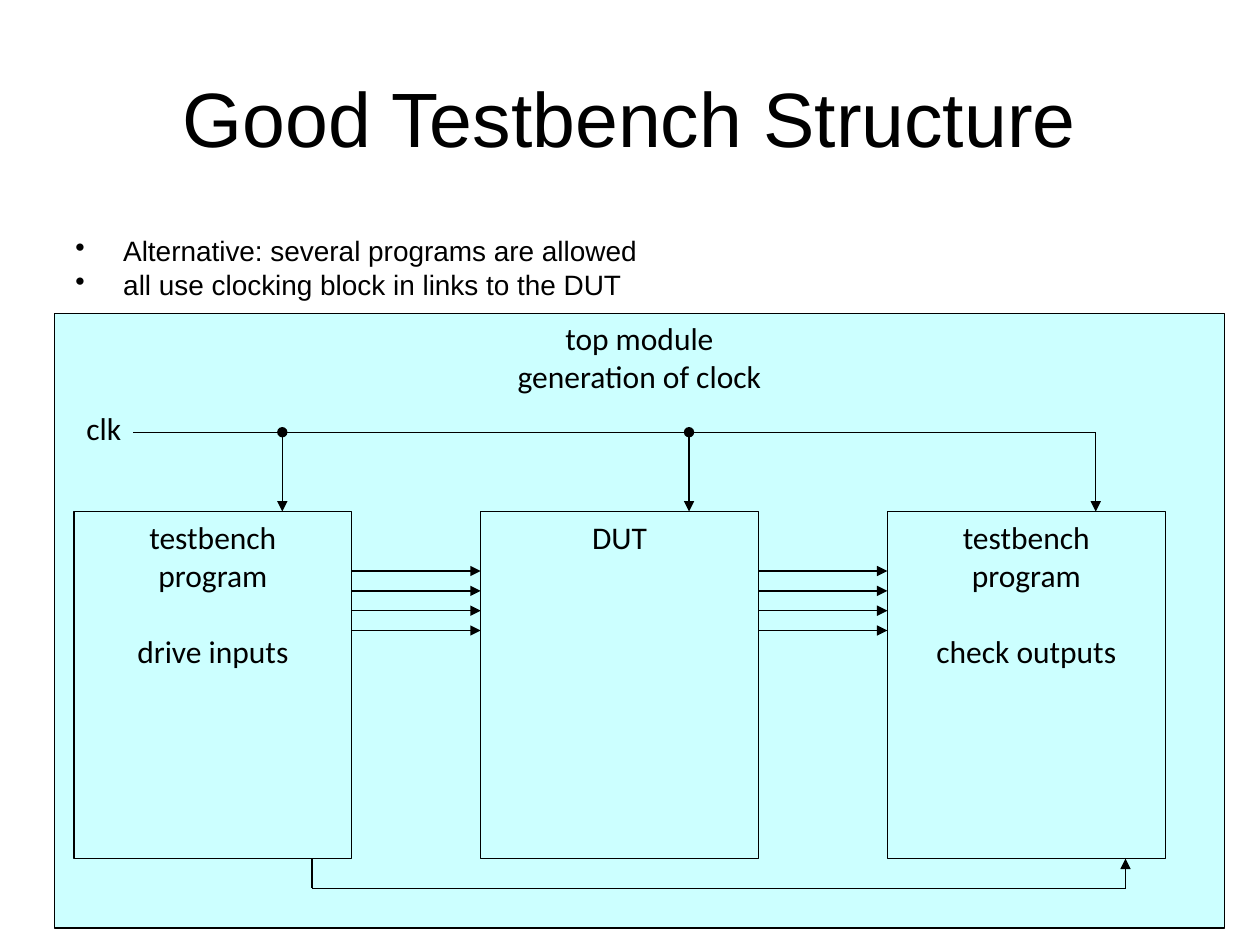
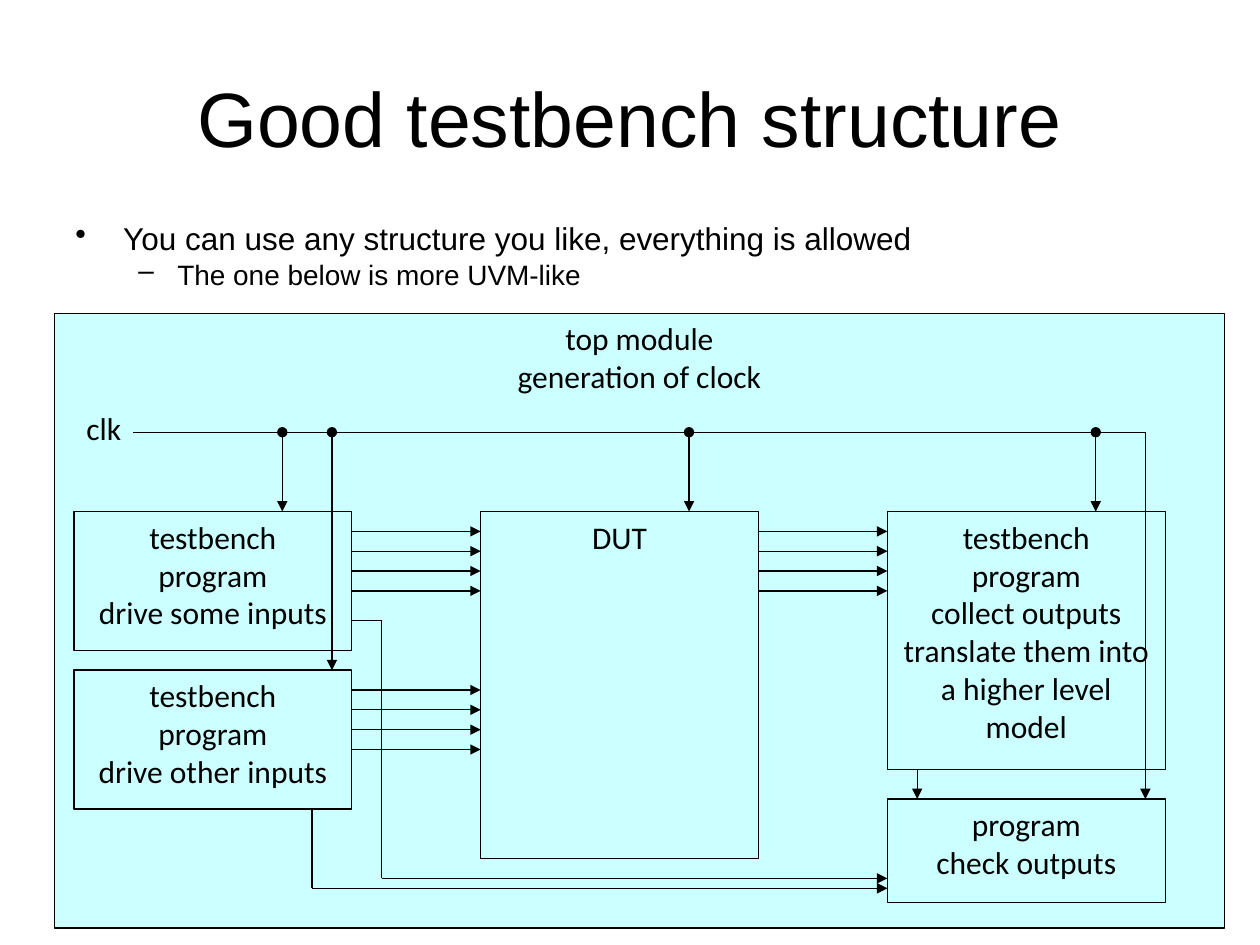
import dataclasses
import itertools

import lxml.etree
import pptx
import pptx.dml.color
import pptx.enum.shapes
import pptx.enum.text
import pptx.oxml.ns
import pptx.util

BLACK = pptx.dml.color.RGBColor(0x00, 0x00, 0x00)
PALE_CYAN = pptx.dml.color.RGBColor(0xCC, 0xFF, 0xFF)
HEADING_FONT = "Arial"
DIAGRAM_FONT = "Calibri"
DIAGRAM_SIZE = 18
LINE_WIDTH = 0.75
SLIDE_WIDTH = pptx.util.Inches(10)
SLIDE_HEIGHT = pptx.util.Inches(7.5)

DIAGRAM_COLUMNS, DIAGRAM_ROWS = 59, 31
LEFT_COLUMN, DUT_COLUMN, RIGHT_COLUMN = 1, 21.5, 42
BLOCK_COLUMNS, BLOCK_ROWS = 14, 17.5
CLOCK_START, CLOCK_ROW, BLOCK_ROW = 4, 6, 10
DRIVER_CLOCK, DUT_CLOCK, CHECKER_CLOCK = 11.5, 32, 52.5
SIGNAL_COUNT = 4


@dataclasses.dataclass
class Box:
    """A region in EMU, divided into columns and rows."""

    left: float
    top: float
    width: float
    height: float
    columns: float = 1
    rows: float = 1

    def point(self, column, row):
        """Return the position of a grid point."""
        return (round(self.left + self.width * column / self.columns),
                round(self.top + self.height * row / self.rows))

    def area(self, column, row, columns, rows):
        """Return the box that covers the given cells."""
        left, top = self.point(column, row)
        right, bottom = self.point(column + columns, row + rows)
        return Box(left, top, right - left, bottom - top)

    def frame(self):
        """Return left, top, width and height."""
        return self.left, self.top, self.width, self.height


SLIDE_BOX = Box(0, 0, SLIDE_WIDTH, SLIDE_HEIGHT, 100, 100)
TITLE_BOX = SLIDE_BOX.area(5, 4, 90, 16.67)


def add_tag(parent, tag, **attributes):
    """Append a DrawingML element to a parent."""
    return lxml.etree.SubElement(parent, pptx.oxml.ns.qn(tag), **attributes)


def set_bullet(paragraph, character, indent, hanging):
    """Give a paragraph a black bullet and a hanging indent in inches."""
    properties = paragraph._p.get_or_add_pPr()
    properties.set("marL", str(pptx.util.Inches(indent)))
    properties.set("indent", str(-pptx.util.Inches(hanging)))
    colour = add_tag(properties, "a:buClr")
    add_tag(colour, "a:srgbClr", val=str(BLACK))
    add_tag(properties, "a:buChar", char=character)


def write_text(paragraph, text, font=DIAGRAM_FONT, size=DIAGRAM_SIZE,
               align=pptx.enum.text.PP_ALIGN.LEFT, space_before=0,
               line_spacing=None):
    """Put formatted text in a paragraph."""
    paragraph.alignment = align
    paragraph.space_before = pptx.util.Pt(space_before)
    if line_spacing:
        paragraph.line_spacing = line_spacing
    run = paragraph.add_run()
    run.text = text
    run.font.name = font
    run.font.size = pptx.util.Pt(size)
    run.font.color.rgb = BLACK


def add_paragraphs(text_frame, count):
    """Return the given number of paragraphs, the first one included."""
    return [text_frame.paragraphs[0]] + [
        text_frame.add_paragraph() for _ in range(count - 1)]


def add_text_box(slide, box, anchor=pptx.enum.text.MSO_ANCHOR.TOP):
    """Add a wrapping text box and return its text frame."""
    text_frame = slide.shapes.add_textbox(*box.frame()).text_frame
    text_frame.word_wrap = True
    text_frame.vertical_anchor = anchor
    return text_frame


def add_title(slide, box, text):
    """Add the centred slide title."""
    text_frame = add_text_box(slide, box, pptx.enum.text.MSO_ANCHOR.MIDDLE)
    write_text(text_frame.paragraphs[0], text, font=HEADING_FONT, size=44,
               align=pptx.enum.text.PP_ALIGN.CENTER)


def add_bullets(slide, box, bullets):
    """Add bullets given as text, level and size."""
    styles = [("•", 0.38, 0.38), ("–", 0.81, 0.31)]
    text_frame = add_text_box(slide, box)
    paragraphs = add_paragraphs(text_frame, len(bullets))
    for index, (paragraph, bullet) in enumerate(zip(paragraphs, bullets)):
        text, level, size = bullet
        paragraph.level = level
        set_bullet(paragraph, *styles[level])
        write_text(paragraph, text, font=HEADING_FONT, size=size,
                   space_before=size / 4 if index else 0, line_spacing=0.8)


def add_block(slide, box, lines, last_gap=0):
    """Add an outlined block with centred lines, the last one set apart."""
    shape = slide.shapes.add_shape(
        pptx.enum.shapes.MSO_SHAPE.RECTANGLE, *box.frame())
    shape.shadow.inherit = False
    shape.fill.solid()
    shape.fill.fore_color.rgb = PALE_CYAN
    shape.line.color.rgb = BLACK
    shape.line.width = pptx.util.Pt(LINE_WIDTH)
    text_frame = shape.text_frame
    text_frame.word_wrap = False
    text_frame.vertical_anchor = pptx.enum.text.MSO_ANCHOR.TOP
    paragraphs = add_paragraphs(text_frame, len(lines))
    for paragraph, line in zip(paragraphs, lines):
        gap = last_gap if paragraph is paragraphs[-1] else 0
        write_text(paragraph, line, space_before=gap,
                   align=pptx.enum.text.PP_ALIGN.CENTER)


def add_wire(slide, grid, *points, dot=False, arrow=True):
    """Draw straight segments through grid points."""
    segments = list(itertools.pairwise(points))
    for index, (start, end) in enumerate(segments):
        connector = slide.shapes.add_connector(
            pptx.enum.shapes.MSO_CONNECTOR.STRAIGHT,
            *grid.point(*start), *grid.point(*end))
        connector.line.color.rgb = BLACK
        connector.line.width = pptx.util.Pt(LINE_WIDTH)
        line = connector.line._get_or_add_ln()
        if dot and index == 0:
            add_tag(line, "a:headEnd", type="oval")
        if arrow and index == len(segments) - 1:
            add_tag(line, "a:tailEnd", type="triangle")
        add_tag(connector._element.spPr, "a:effectLst")


def add_signals(slide, grid, block_column, next_column, first_row):
    """Draw the parallel arrows from one block column to the next."""
    for row in range(first_row, first_row + SIGNAL_COUNT):
        add_wire(slide, grid, (block_column + BLOCK_COLUMNS, row),
                 (next_column, row))


def add_clock(slide, grid, taps, end_column, end_row):
    """Draw the clock line, its taps and its last branch."""
    text_frame = add_text_box(slide, grid.area(LEFT_COLUMN, 4.5, 5, 2.5))
    write_text(text_frame.paragraphs[0], "clk")
    add_wire(slide, grid, (CLOCK_START, CLOCK_ROW), (end_column, CLOCK_ROW),
             (end_column, end_row))
    for column, row in taps:
        add_wire(slide, grid, (column, CLOCK_ROW), (column, row), dot=True)


def add_top_module(slide):
    """Add the top module with the DUT and return its grid."""
    module_box = SLIDE_BOX.area(4.3, 33.15, 92.9, 65.05)
    grid = Box(*module_box.frame(), DIAGRAM_COLUMNS, DIAGRAM_ROWS)
    add_block(slide, module_box, ["top module", "generation of clock"])
    add_block(slide, grid.area(DUT_COLUMN, BLOCK_ROW, BLOCK_COLUMNS,
                               BLOCK_ROWS), ["DUT"])
    return grid


def draw_two_programs(slide):
    """Draw one driving and one checking program around the DUT."""
    grid = add_top_module(slide)
    for column, task in [(LEFT_COLUMN, "drive inputs"),
                         (RIGHT_COLUMN, "check outputs")]:
        add_block(
            slide, grid.area(column, BLOCK_ROW, BLOCK_COLUMNS, BLOCK_ROWS),
            ["testbench", "program", task], last_gap=22)
    add_signals(slide, grid, LEFT_COLUMN, DUT_COLUMN, 13)
    add_signals(slide, grid, DUT_COLUMN, RIGHT_COLUMN, 13)
    add_clock(slide, grid,
              [(DRIVER_CLOCK, BLOCK_ROW), (DUT_CLOCK, BLOCK_ROW)],
              CHECKER_CLOCK, BLOCK_ROW)
    bottom = BLOCK_ROW + BLOCK_ROWS
    add_wire(slide, grid, (13, bottom), (13, 29), (54, 29), (54, bottom))


def draw_four_programs(slide):
    """Draw two driving, one collecting and one checking program."""
    grid = add_top_module(slide)
    second_driver_row, checker_row = 18, 24.5
    blocks = [
        (LEFT_COLUMN, BLOCK_ROW, 7,
         ["testbench", "program", "drive some inputs"]),
        (LEFT_COLUMN, second_driver_row, 7,
         ["testbench", "program", "drive other inputs"]),
        (RIGHT_COLUMN, BLOCK_ROW, 13,
         ["testbench", "program", "collect outputs", "translate them into",
          "a higher level", "model"]),
        (RIGHT_COLUMN, checker_row, 5.2, ["program", "check outputs"]),
    ]
    for column, row, rows, lines in blocks:
        add_block(slide, grid.area(column, row, BLOCK_COLUMNS, rows), lines)
    for first_row in (BLOCK_ROW + 1, second_driver_row + 1):
        add_signals(slide, grid, LEFT_COLUMN, DUT_COLUMN, first_row)
    add_signals(slide, grid, DUT_COLUMN, RIGHT_COLUMN, BLOCK_ROW + 1)
    taps = [(column, BLOCK_ROW)
            for column in (DRIVER_CLOCK, DUT_CLOCK, CHECKER_CLOCK)]
    add_clock(slide, grid, taps + [(14, second_driver_row)], 55, checker_row)
    add_wire(slide, grid, (43.5, 23), (43.5, checker_row))
    add_wire(slide, grid, (13, 25), (13, 29), (RIGHT_COLUMN, 29))
    add_wire(slide, grid, (15, 15.5), (16.5, 15.5), (16.5, 28.5),
             (RIGHT_COLUMN, 28.5))


def add_diagram_slide(presentation, title, bullet_box, bullets, draw_diagram):
    """Add a slide with title, bullets and testbench diagram."""
    slide = presentation.slides.add_slide(presentation.slide_layouts[6])
    add_title(slide, TITLE_BOX, title)
    add_bullets(slide, bullet_box, bullets)
    draw_diagram(slide)


def main():
    """Build and save the presentation."""
    presentation = pptx.Presentation()
    presentation.slide_width = SLIDE_WIDTH
    presentation.slide_height = SLIDE_HEIGHT
    add_diagram_slide(
        presentation, "Good Testbench Structure",
        SLIDE_BOX.area(5, 24.8, 92.3, 8.4),
        [("Alternative: several programs are allowed", 0, 16),
         ("all use clocking block in links to the DUT", 0, 16)],
        draw_two_programs)
    add_diagram_slide(
        presentation, "Good testbench structure",
        SLIDE_BOX.area(5, 23.33, 90, 8.8),
        [("You can use any structure you like, everything is allowed", 0, 18),
         ("The one below is more UVM-like", 1, 16)],
        draw_four_programs)
    presentation.save("out.pptx")


if __name__ == "__main__":
    main()
